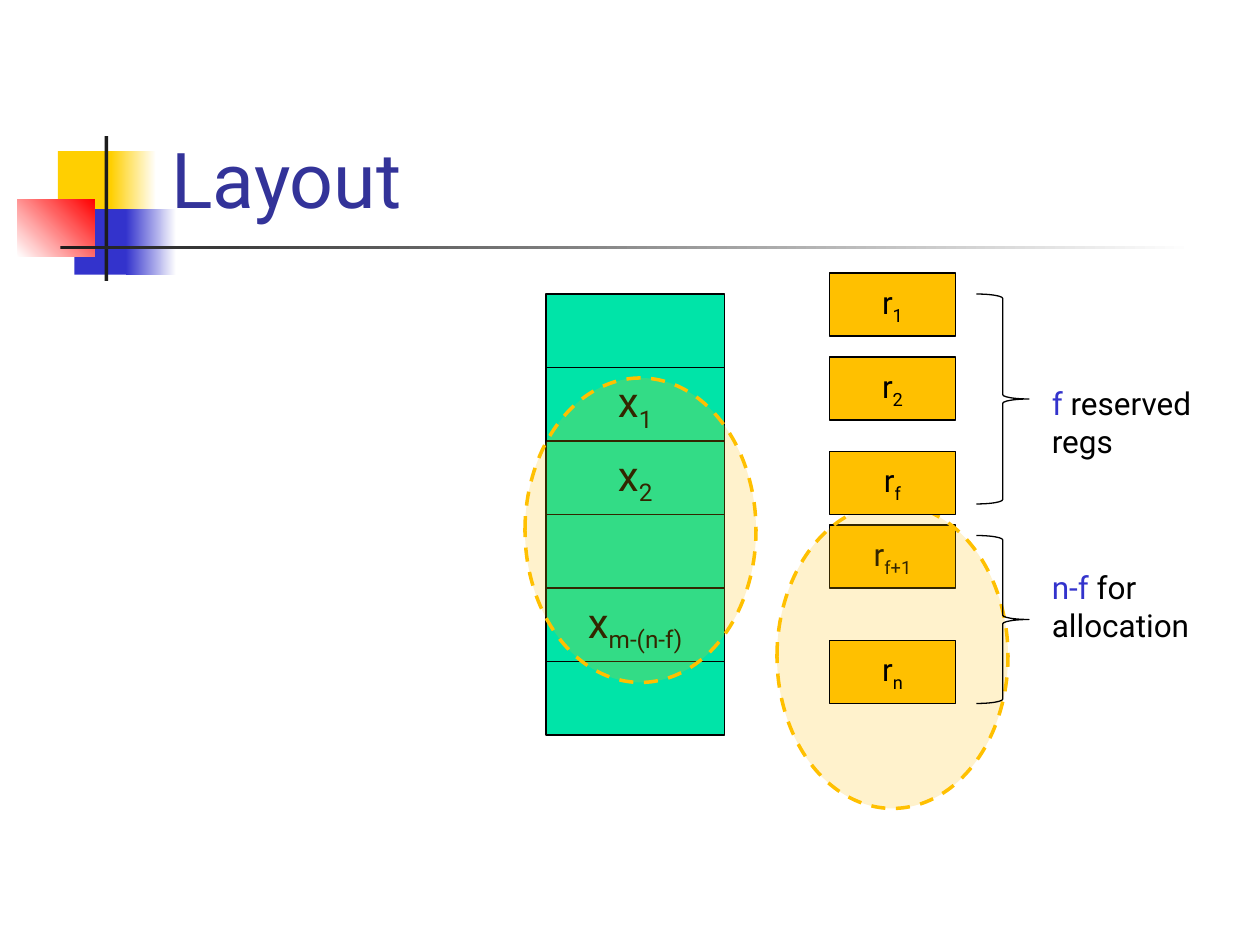
from pptx import Presentation, util as u
from pptx.dml.color import RGBColor
from pptx.enum import dml, shapes, text
from pptx.oxml.ns import qn
from lxml import etree

FONT = "Roboto"
BLACK, BLUE, GOLD, MINT = "000000", "3333CC", "FFC000", "00E4A8"
CELL = 1 / 12
KIND = shapes.MSO_SHAPE


def rgb(code):
    """Turn a hex string into a colour."""
    return RGBColor.from_string(code)


def grid(*units):
    """Turn counts of grid cells into inches."""
    return [n * CELL for n in units]


def write(frame, parts, size):
    """Fill a frame with runs of (text, colour, subscript)."""
    para = frame.paragraphs[0]
    for words, tint, sub in parts:
        run = para.add_run()
        run.text = words
        font = run.font
        font.name, font.size = FONT, u.Pt(size)
        font.color.rgb = rgb(tint)
        if sub:
            font._element.set("baseline", "-25000")
    return para


def draw(slide, kind, box, fill=None, line=None, width=0.75):
    """Add a flat shape with an optional fill and outline."""
    shape = slide.shapes.add_shape(kind, *map(u.Inches, box))
    shape.shadow.inherit = False
    if fill:
        shape.fill.solid()
        shape.fill.fore_color.rgb = rgb(fill)
    else:
        shape.fill.background()
    if line:
        shape.line.color.rgb = rgb(line)
        shape.line.width = u.Pt(width)
    else:
        shape.line.fill.background()
    return shape


def fade(slide, box, start, end, angle=0):
    """Add a borderless rectangle with a two-colour gradient."""
    fill = draw(slide, KIND.RECTANGLE, box).fill
    fill.gradient()
    fill.gradient_angle = angle
    for stop, tint in zip(fill.gradient_stops, (start, end)):
        stop.color.rgb = rgb(tint)


def slot(slide, box, fill, name, sub, size):
    """Add a memory or register box with a subscripted name."""
    shape = draw(slide, KIND.RECTANGLE, grid(*box), fill, BLACK)
    if name:
        frame = shape.text_frame
        frame.word_wrap = False
        frame.vertical_anchor = text.MSO_ANCHOR.MIDDLE
        para = write(frame, [(name, BLACK, False), (sub, BLACK, True)], size)
        para.alignment = text.PP_ALIGN.CENTER


def halo(slide, col, row):
    """Add a translucent dashed ellipse."""
    shape = draw(slide, KIND.OVAL, grid(col, row, 22, 29), GOLD, GOLD, 2)
    shape.line.dash_style = dml.MSO_LINE.DASH
    tint = shape.fill._xPr.find(qn("a:solidFill"))[0]
    etree.SubElement(tint, qn("a:alpha")).set("val", "20000")


def group(slide, row, rows, top, wide, key, rest):
    """Add a brace with its label."""
    draw(slide, KIND.RIGHT_BRACE, grid(93, row, 5, rows), None, BLACK)
    box = grid(99, top, wide, 8.5)
    frame = slide.shapes.add_textbox(*map(u.Inches, box)).text_frame
    frame.word_wrap = True
    frame.auto_size = text.MSO_AUTO_SIZE.SHAPE_TO_FIT_TEXT
    write(frame, [(key, BLUE, False), (rest, BLACK, False)], 18)


def decor(slide):
    """Add the coloured squares and rules beside the title."""
    draw(slide, KIND.RECTANGLE, (0.46, 1.2, 0.48, 0.52), "FFCF01")
    fade(slide, (0.88, 1.2, 0.36, 0.52), "FFCF01", "FFFFFF")
    draw(slide, KIND.RECTANGLE, (0.59, 1.66, 0.46, 0.52), BLUE)
    fade(slide, (1, 1.66, 0.4, 0.52), BLUE, "FFFFFF")
    fade(slide, (0.14, 1.58, 0.61, 0.46), "FFFFFF", "FF0000", 45)
    draw(slide, KIND.RECTANGLE, (0.83, 1.08, 0.03, 1.15), "1C1C1C")
    fade(slide, (0.48, 1.95, 9, 0.03), "1C1C1C", "FFFFFF")


def head(slide, words):
    """Place and format the title."""
    title = slide.shapes.title
    title.left, title.top, title.width, title.height = map(
        u.Inches, (1.26, 0.23, 8.52, 1.6))
    frame = title.text_frame
    frame.vertical_anchor = text.MSO_ANCHOR.BOTTOM
    para = write(frame, [(words, "333399", False)], 44)
    para.alignment = text.PP_ALIGN.LEFT


def main():
    """Build the slide."""
    deck = Presentation()
    deck.slide_width, deck.slide_height = u.Inches(10), u.Inches(7.5)
    slide = deck.slides.add_slide(deck.slide_layouts[5])
    decor(slide)
    head(slide, "Layout")
    for i, sub in enumerate(["", "1", "2", "", "m-(n-f)", ""]):
        slot(slide, (52, 28 + 7 * i, 17, 7), MINT, sub and "x", sub, 24)
    for row, sub in [(26, "1"), (34, "2"), (50, "f+1")]:
        slot(slide, (79, row, 12, 6), GOLD, "r", sub, 18)
    halo(slide, 74, 48)
    for row, sub in [(43, "f"), (61, "n")]:
        slot(slide, (79, row, 12, 6), GOLD, "r", sub, 18)
    group(slide, 28, 20, 36, 18, "f", " reserved regs")
    group(slide, 51, 16, 53.5, 17, "n-f", " for allocation")
    halo(slide, 50, 36)
    deck.save("out.pptx")


if __name__ == "__main__":
    main()
